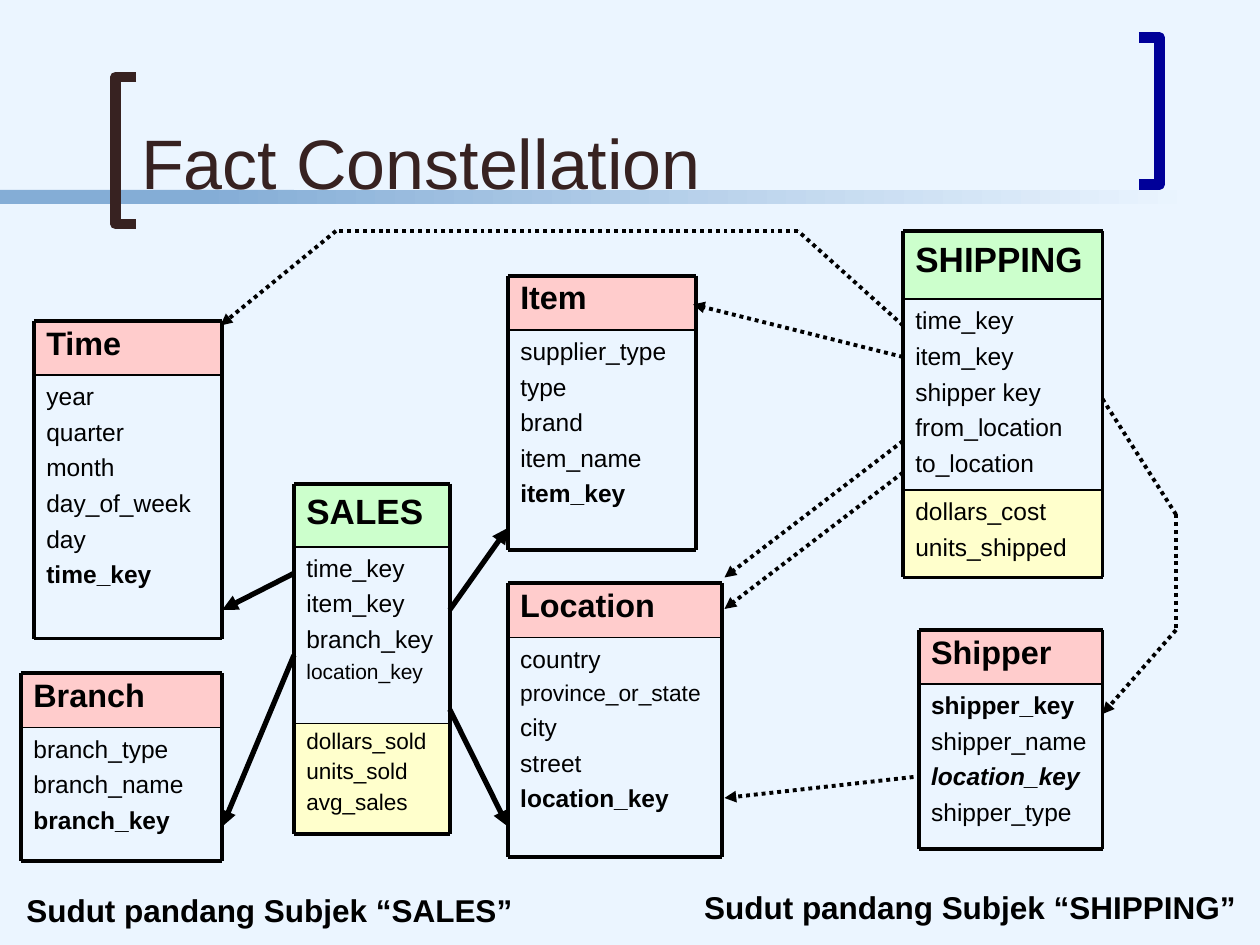
"""Build the Fact Constellation schema slide."""
from dataclasses import dataclass

from lxml import etree
from pptx import Presentation
from pptx import util as u
from pptx.dml.color import RGBColor
from pptx.enum import dml, shapes, text
from pptx.oxml import ns


@dataclass(frozen=True)
class Theme:
    font: str = "Arial"
    background: str = "EBF5FF"
    band: str = "84ADD6"
    title: str = "372221"
    bracket: str = "000099"
    ink: str = "000000"
    fact: str = "CCFFCC"
    dimension: str = "FFCCCC"
    measure: str = "FFFFCC"
    title_size: float = 40
    fact_size: float = 20
    dimension_size: float = 18.5
    caption_size: float = 18
    field_size: float = 14
    compact_size: float = 13
    measure_size: float = 12.9
    small_size: float = 12
    border: float = 2.25
    divider: float = 1
    sales_arrow: float = 3
    bracket_width: float = 6


@dataclass(frozen=True)
class Line:
    text: str
    size: float = Theme.field_size
    bold: bool = False
    italic: bool = False
    before: float = 3.5
    spacing: float = 1
    color: str = Theme.ink


@dataclass(frozen=True)
class Section:
    height: float
    fill: str
    lines: list


class SchemaSlide:
    def __init__(self, slide, theme):
        self.slide = slide
        self.theme = theme
        self.paint(slide.background.fill, theme.background)

    def paint(self, fill, color):
        fill.solid()
        fill.fore_color.rgb = RGBColor.from_string(color)

    def set_lines(self, shape, lines, anchor=text.MSO_ANCHOR.TOP, wrap=True):
        frame = shape.text_frame
        frame.word_wrap = wrap
        frame.vertical_anchor = anchor
        for index, line in enumerate(lines):
            paragraph = frame.add_paragraph() if index else frame.paragraphs[0]
            paragraph.text = line.text
            paragraph.alignment = text.PP_ALIGN.LEFT
            paragraph.space_before = u.Pt(line.before)
            paragraph.line_spacing = line.spacing
            font = paragraph.font
            font.name, font.size = self.theme.font, u.Pt(line.size)
            font.bold, font.italic = line.bold, line.italic
            font.color.rgb = RGBColor.from_string(line.color)

    def label(self, left, top, width, height, line, **layout):
        box = self.slide.shapes.add_textbox(*map(u.Pt, (left, top, width, height)))
        self.set_lines(box, [line], **layout)

    def rectangle(self, left, top, width, height, color):
        shape = self.slide.shapes.add_shape(
            shapes.MSO_SHAPE.RECTANGLE, *map(u.Pt, (left, top, width, height)))
        shape.shadow.inherit = False
        shape.line.fill.background()
        self.paint(shape.fill, color)
        return shape

    def fading_band(self, left, top, width, height):
        fill = self.rectangle(left, top, width, height, self.theme.band).fill
        fill.gradient()
        fill.gradient_angle = 0
        for stop, color in zip(fill.gradient_stops, (self.theme.band, self.theme.background)):
            stop.color.rgb = RGBColor.from_string(color)

    def bracket(self, spine, tip, top, color):
        bottom = top + 84
        builder = self.slide.shapes.build_freeform(u.Pt(tip), u.Pt(top))
        corners = [(spine, top), (spine, bottom), (tip, bottom)]
        builder.add_line_segments([(u.Pt(x), u.Pt(y)) for x, y in corners], close=False)
        shape = builder.convert_to_shape()
        shape.shadow.inherit = False
        shape.fill.background()
        shape.line.color.rgb = RGBColor.from_string(color)
        shape.line.width = u.Pt(self.theme.bracket_width)

    def connector(self, start, end, width, dotted=False, arrow=False):
        line = self.slide.shapes.add_connector(
            shapes.MSO_CONNECTOR.STRAIGHT, *map(u.Pt, (*start, *end)))
        line.line.color.rgb = RGBColor.from_string(self.theme.ink)
        line.line.width = u.Pt(width)
        if dotted:
            line.line.dash_style = dml.MSO_LINE.ROUND_DOT
        properties = line.element.spPr
        if arrow:
            outline = properties.find(ns.qn("a:ln"))
            etree.SubElement(outline, ns.qn("a:tailEnd"), type="triangle")
        etree.SubElement(properties, ns.qn("a:effectLst"))

    def route(self, points, width, dotted=False):
        for start, end in zip(points, points[1:]):
            self.connector(start, end, width, dotted, arrow=end == points[-1])

    def entity(self, left, top, width, sections):
        right, edge, dividers = left + width, top, []
        for section in sections:
            shape = self.rectangle(left, edge, width, section.height, section.fill)
            self.set_lines(shape, section.lines)
            edge += section.height
            dividers.append(edge)
        for y in dividers[:-1]:
            self.connector((left, y), (right, y), self.theme.divider)
        for y in (top, edge):
            self.connector((left, y), (right, y), self.theme.border)
        for x in (left, right):
            self.connector((x, top), (x, edge), self.theme.border)

    def dimension(self, left, top, width, name, height, lines):
        heading = Line(name, self.theme.dimension_size, True, before=5, spacing=0.9)
        self.entity(left, top, width, [Section(31, self.theme.dimension, [heading]),
                                       Section(height, self.theme.background, lines)])

    def fact(self, left, top, width, name, heights, keys, measures):
        heading = Line(name, self.theme.fact_size, True, before=5)
        fills = (self.theme.fact, self.theme.background, self.theme.measure)
        self.entity(left, top, width, list(map(Section, heights, fills, ([heading], keys, measures))))


def fields(*names, **style):
    return [Line(name, **style) for name in names]


def key(name, **style):
    return Line(name, bold=True, **style)


def main():
    theme = Theme()
    presentation = Presentation()
    presentation.slide_width, presentation.slide_height = u.Pt(720), u.Pt(540)
    schema = SchemaSlide(presentation.slides.add_slide(presentation.slide_layouts[6]), theme)

    schema.rectangle(0, 108.6, 168, 8, theme.band)
    schema.fading_band(114, 108.6, 570, 8)
    schema.bracket(66, 77.8, 44, theme.title)
    schema.bracket(662.6, 650.8, 21.4, theme.bracket)
    schema.label(73.5, 8, 564, 111.6, Line("Fact Constellation", theme.title_size, before=0,
                                           color=theme.title), anchor=text.MSO_ANCHOR.BOTTOM)

    schema.fact(516, 132, 114, "SHIPPING", (39, 109, 50),
                fields("time_key", "item_key", "shipper key", "from_location", "to_location"),
                fields("dollars_cost", "units_shipped"))
    schema.fact(168, 276.4, 89, "SALES", (36, 101, 63.2),
                fields("time_key", "item_key", "branch_key")
                + [Line("location_key", theme.small_size, before=3)],
                fields("dollars_sold", "units_sold", "avg_sales", size=theme.measure_size, spacing=0.9))
    schema.dimension(19.4, 183.4, 107.4, "Time", 150.5,
                     fields("year", "quarter", "month", "day_of_week", "day") + [key("time_key")])
    schema.dimension(290.2, 157.5, 107.4, "Item", 125.6,
                     fields("supplier_type", "type", "brand", "item_name") + [key("item_key")])
    schema.dimension(290.2, 333.3, 122.4, "Location", 125.6,
                     [Line("country"), Line("province_or_state", theme.compact_size, before=3.3),
                      *fields("city", "street"), key("location_key")])
    schema.dimension(12, 384.7, 115, "Branch", 76.3,
                     fields("branch_type", "branch_name") + [key("branch_key")])
    schema.dimension(525, 360, 105, "Shipper", 94.4,
                     [key("shipper_key"), Line("shipper_name"),
                      key("location_key", italic=True), Line("shipper_type")])

    for points in (
        [(516, 186), (456, 132), (192, 132), (126, 186)],
        [(516, 204), (396, 174)],
        [(630, 228), (672, 294), (672, 360), (630, 408)],
        [(522, 444), (414, 456)],
        [(516, 252), (414, 330)],
        [(516, 270), (414, 348)],
    ):
        schema.route(points, theme.border, dotted=True)
    for points in (
        [(168, 374.4), (127, 472.3)],
        [(257, 348.5), (290.2, 301.7)],
        [(257, 405.4), (290.2, 472.3)],
        [(168, 327.6), (127, 348.5)],
    ):
        schema.route(points, theme.sales_arrow)

    for left, top, width, subject in ((395.3, 504, 318.2, "SHIPPING"), (8, 505.4, 292.3, "SALES")):
        caption = Line(f"Sudut pandang Subjek “{subject}”", theme.caption_size, True, before=0)
        schema.label(left, top, width, 29, caption, wrap=False)

    presentation.save("out.pptx")


if __name__ == "__main__":
    main()
